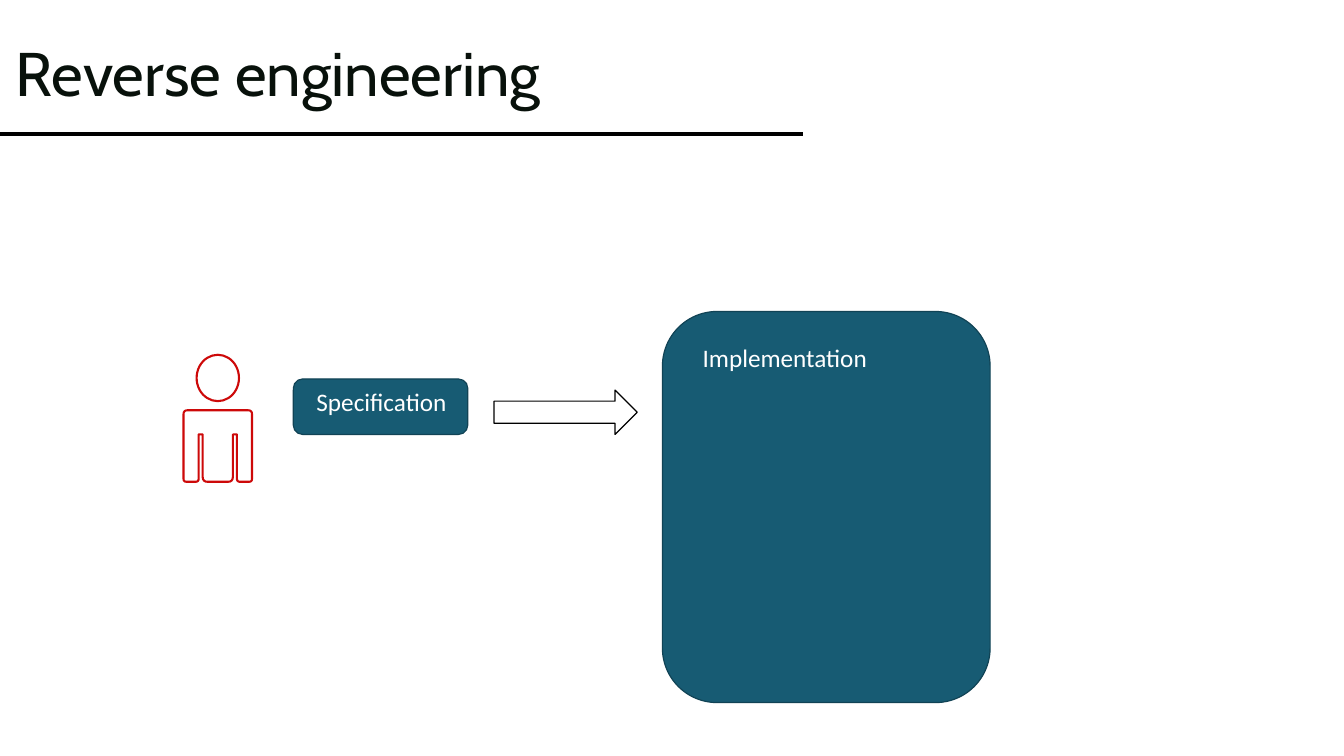
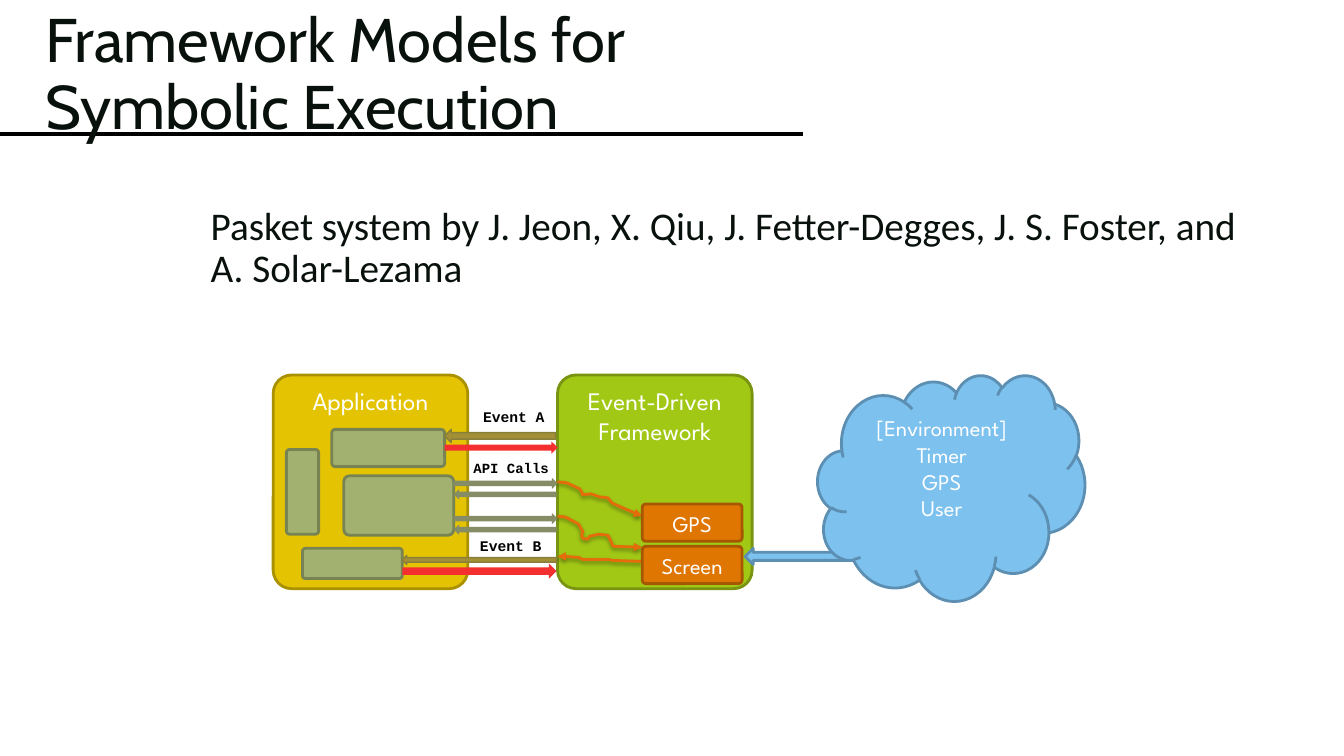
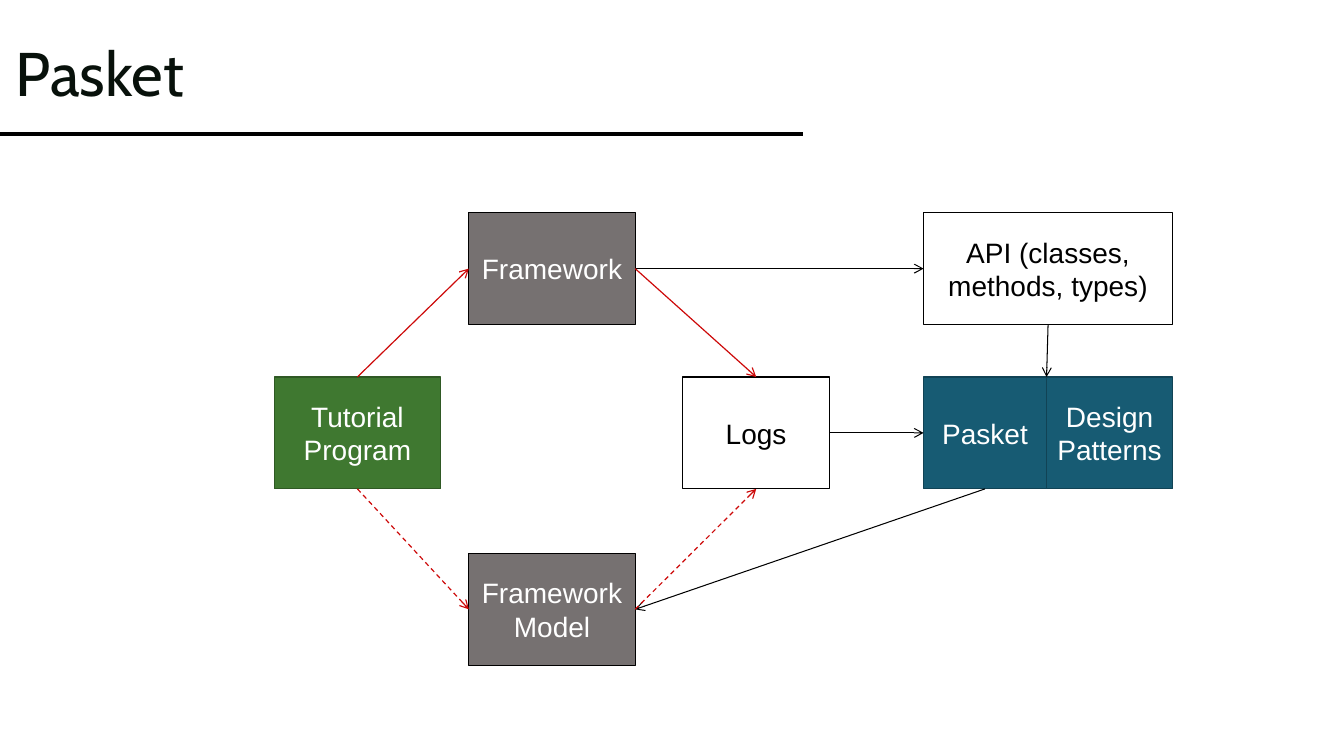
from lxml import etree
from pptx import Presentation
from pptx.dml.color import RGBColor
from pptx.enum.dml import MSO_LINE
from pptx.enum.shapes import MSO_CONNECTOR, MSO_SHAPE as SHAPE
from pptx.enum.text import MSO_ANCHOR as ANCHOR, PP_ALIGN as ALIGN
from pptx.oxml.ns import qn
from pptx.util import Inches, Pt

COLORS = {
    "ink": "08110B", "black": "000000", "white": "FFFFFF", "red": "CD0909",
    "teal": "175B73", "teal_edge": "114355",
    "gray": "767171", "green": "3F7830", "green_edge": "2F5924",
    "lime": "A2C816", "lime_edge": "789410",
    "gold": "E4C402", "gold_edge": "A99101",
    "olive": "A2B170", "olive_edge": "788353",
    "orange": "E07602", "orange_edge": "A65701", "squiggle": "E46C0A",
    "sky": "7DC1EF", "sky_edge": "5C8FB1",
    "event": "A38F35", "event_edge": "8A7F3A", "reply": "F42F2F", "call": "868C66",
}
TOP, LEFT, BOTTOM, RIGHT = range(4)  # connection sites of a rectangle


# ---- Building blocks ----
def rgb(name):
    return RGBColor.from_string(COLORS[name])


def write(shape, text, font, size, color, align=ALIGN.CENTER,
          anchor=ANCHOR.TOP, bold=False, wrap=True, spacing=None):
    frame = shape.text_frame
    frame.text = text
    frame.word_wrap = wrap
    frame.vertical_anchor = anchor
    for paragraph in frame.paragraphs:
        paragraph.alignment = align
        if spacing:
            paragraph.line_spacing = spacing
        for run in paragraph.runs:
            run.font.name, run.font.size = font, Pt(size)
            run.font.bold = bold
            run.font.color.rgb = rgb(color)


def paint(shape, fill, edge, width):
    shape.shadow.inherit = False
    if fill:
        shape.fill.solid()
        shape.fill.fore_color.rgb = rgb(fill)
    else:
        shape.fill.background()
    if edge:
        shape.line.color.rgb = rgb(edge)
        shape.line.width = Pt(width)
    else:
        shape.line.fill.background()


def add_block(slide, kind, box, fill, edge=None, width=0.85, corner=None):
    shape = slide.shapes.add_shape(kind, *map(Inches, box))
    if corner is not None:
        shape.adjustments[0] = corner
    paint(shape, fill, edge, width)
    return shape


def add_label(slide, box, text, font, size, color, **style):
    label = slide.shapes.add_textbox(*map(Inches, box))
    write(label, text, font, size, color, **style)
    return label


def add_outline(slide, points, closed, fill, edge, width):
    emu = [(Inches(x), Inches(y)) for x, y in points]
    builder = slide.shapes.build_freeform(*emu[0])
    builder.add_line_segments(emu[1:], close=closed)
    shape = builder.convert_to_shape()
    paint(shape, fill, edge, width)
    return shape


def add_arrowhead(shape, end, kind):
    etree.SubElement(shape.line._get_or_add_ln(), qn(f"a:{end}"), type=kind)


def add_line(slide, start, end, color, width):
    line = slide.shapes.add_connector(
        MSO_CONNECTOR.STRAIGHT, *map(Inches, (*start, *end)))
    line.line.color.rgb = rgb(color)
    line.line.width = Pt(width)
    etree.SubElement(line._element.spPr, qn("a:effectLst"))
    return line


def add_titled_slide(prs, title, left=0.06):
    slide = prs.slides.add_slide(prs.slide_layouts[6])
    add_line(slide, (0, 1.33), (7.96, 1.33), "black", 2.25)
    add_label(slide, (left, 0.03, 7.52, 1.45), title, "Cabin", 44, "ink",
              align=ALIGN.LEFT, anchor=ANCHOR.MIDDLE, spacing=0.9)
    return slide


# ---- Slide 1: reverse engineering ----
def rounded_corners(corners, steps=4):
    """Replace each (x, y, radius) corner by points on a curve."""
    points = []
    for i, (x, y, radius) in enumerate(corners):
        if not radius:
            points.append((x, y))
            continue
        ends = []
        for nx, ny, _ in (corners[i - 1], corners[(i + 1) % len(corners)]):
            share = radius / (abs(nx - x) + abs(ny - y))
            ends.append((x + (nx - x) * share, y + (ny - y) * share))
        (ax, ay), (bx, by) = ends
        for step in range(steps + 1):
            t = step / steps
            a, c, b = (1 - t) ** 2, 2 * t * (1 - t), t ** 2
            points.append((a * ax + c * x + b * bx, a * ay + c * y + b * by))
    return points


def add_person(slide):
    center = 2.16
    add_block(slide, SHAPE.OVAL, (1.95, 3.52, 0.42, 0.46), "white", "red", 1.5)
    left_half = [(1.82, 4.07, 0.04), (1.82, 4.78, 0.03), (1.97, 4.78, 0.03),
                 (1.97, 4.31, 0), (2.01, 4.31, 0), (2.01, 4.78, 0.05)]
    right_half = [(2 * center - x, y, r) for x, y, r in reversed(left_half)]
    add_outline(slide, rounded_corners(left_half + right_half), True,
                "white", "red", 1.5)


def build_reverse_engineering(prs):
    slide = add_titled_slide(prs, "Reverse engineering")
    add_person(slide)
    for box, label_box, text in (
            ((2.91, 3.76, 1.73, 0.55), (3.04, 3.78, 1.51, 0.4), "Specification"),
            ((6.57, 3.09, 3.25, 3.88), (6.87, 3.35, 1.85, 0.4), "Implementation")):
        add_block(slide, SHAPE.ROUNDED_RECTANGLE, box, "teal", "teal_edge")
        add_label(slide, label_box, text, "Calibri", 18, "white",
                  align=ALIGN.LEFT, wrap=False)
    add_block(slide, SHAPE.RIGHT_ARROW, (4.9, 3.87, 1.42, 0.44), "white", "black")


# ---- Slide 2: framework models ----
def add_module(slide, box, color, text="", size=18):
    module = add_block(slide, SHAPE.ROUNDED_RECTANGLE, box, color,
                       f"{color}_edge", 2, corner=0.095)
    if text:
        write(module, text, "League Spartan", size, "white")


def add_squiggle(slide, points, end):
    squiggle = add_outline(slide, points, False, None, "squiggle", 2)
    add_arrowhead(squiggle, end, "triangle")
    effects = squiggle._element.spPr.find(qn("a:effectLst"))
    shadow = etree.SubElement(
        effects, qn("a:outerShdw"), blurRad=str(Pt(3.1)), dist=str(Pt(1.6)),
        dir="5400000", rotWithShape="0")
    color = etree.SubElement(shadow, qn("a:srgbClr"), val=COLORS["black"])
    etree.SubElement(color, qn("a:alpha"), val="38000")


def build_framework_models(prs):
    slide = add_titled_slide(prs, "Framework Models for Symbolic Execution", 0.35)
    credit = add_label(
        slide, (1.74, 2, 10.68, 4.76),
        "Pasket system by J. Jeon, X. Qiu, J. Fetter-Degges, J. S. Foster, "
        "and A. Solar-Lezama", "Calibri", 28, "ink", align=ALIGN.LEFT, spacing=0.9)
    credit.text_frame.margin_left = Inches(0.35)

    # Framework and its internal flows
    add_module(slide, (5.53, 3.72, 1.93, 2.12), "lime", "Event-Driven\nFramework")
    add_squiggle(slide, [
        (5.53, 5.12), (5.61, 5.13), (5.74, 5.2), (5.76, 5.24), (5.78, 5.27),
        (5.77, 5.31), (5.78, 5.34), (5.83, 5.35), (5.85, 5.32), (5.94, 5.3),
        (6.03, 5.31), (6.06, 5.37), (6.08, 5.42), (6.37, 5.43)], "tailEnd")
    add_squiggle(slide, [
        (5.53, 4.78), (5.62, 4.79), (5.75, 4.85), (5.77, 4.88), (5.78, 4.91),
        (5.86, 4.9), (5.95, 4.93), (6.03, 4.94), (6.07, 4.99), (6.18, 5.04),
        (6.37, 5.12)], "tailEnd")
    add_squiggle(slide, [
        (5.53, 5.52), (5.61, 5.52), (5.74, 5.53), (5.78, 5.55), (5.94, 5.55),
        (6.03, 5.55), (6.08, 5.56), (6.37, 5.57)], "headEnd")
    for top, device in ((5, "GPS"), (5.42, "Screen")):
        add_module(slide, (6.37, top, 0.99, 0.37), "orange", device, 16)

    # Application and its parts
    add_module(slide, (2.71, 3.72, 1.93, 2.12), "gold", "Application")
    for part in ((3.29, 4.26, 1.12, 0.37), (3, 5.44, 0.99, 0.3),
                 (2.84, 4.46, 0.32, 0.84), (3.41, 4.72, 1.09, 0.59)):
        add_module(slide, part, "olive")

    # Traffic between application and framework
    for box in ((3.99, 5.51, 1.53, 0.09), (4.41, 4.26, 1.1, 0.13)):
        add_block(slide, SHAPE.LEFT_ARROW, box, "event", "event_edge", 1)
    for box in ((3.99, 5.59, 1.53, 0.15), (4.41, 4.38, 1.12, 0.12)):
        add_block(slide, SHAPE.RIGHT_ARROW, box, "reply")
    for top in (4.74, 5.09):
        add_block(slide, SHAPE.RIGHT_ARROW, (4.5, top, 1.03, 0.11), "call")
        add_block(slide, SHAPE.LEFT_ARROW, (4.5, top + 0.11, 1.02, 0.11), "call")
    for box, text, size in (((4.62, 4, 0.95, 0.29), "Event A", 10.5),
                            ((4.52, 4.51, 1.1, 0.28), "API Calls", 10),
                            ((4.59, 5.28, 0.95, 0.29), "Event B", 10.5)):
        add_label(slide, box, text, "Courier New", size, "black", bold=True)

    # Environment
    add_block(slide, SHAPE.LEFT_ARROW, (7.39, 5.44, 1.18, 0.16), "sky", "sky_edge", 2)
    environment = add_block(slide, SHAPE.CLOUD, (8.11, 3.72, 2.65, 2.24),
                            "sky", "sky_edge", 2)
    write(environment, "[Environment]\nTimer\nGPS\nUser", "League Spartan", 16, "white")


# ---- Slide 3: Pasket ----
def add_node(slide, left, top, width, text, fill, edge, color="white"):
    node = add_block(slide, SHAPE.RECTANGLE, (left, top, width, 1.11), fill, edge)
    write(node, text, "Arial", 20, color, anchor=ANCHOR.MIDDLE)
    return node


def add_flow(slide, source, source_side, target, target_side,
             color="black", dashed=False):
    """Join two nodes; a target given as a point is left unattached."""
    free = isinstance(target, tuple)
    flow = add_line(slide, (0, 0), target if free else (1, 1), color,
                    0.75 if color == "black" else 0.85)
    flow.begin_connect(source, source_side)
    if not free:
        flow.end_connect(target, target_side)
    if dashed:
        flow.line.dash_style = MSO_LINE.DASH
    add_arrowhead(flow, "tailEnd", "arrow")


def build_pasket(prs):
    slide = add_titled_slide(prs, "Pasket")
    upper, middle, lower = 2.11, 3.74, 5.49
    framework = add_node(slide, 4.65, upper, 1.65, "Framework", "gray", "black")
    tutorial = add_node(slide, 2.72, middle, 1.65, "Tutorial\nProgram",
                        "green", "green_edge")
    api = add_node(slide, 9.16, upper, 2.47, "API (classes, methods, types)",
                   "white", "black", "black")
    add_node(slide, 10.38, middle, 1.25, "Design Patterns", "teal", "teal_edge")
    logs = add_node(slide, 6.77, middle, 1.46, "Logs", "white", "black", "black")
    pasket = add_node(slide, 9.16, middle, 1.22, "Pasket", "teal", "teal_edge")
    model = add_node(slide, 4.65, lower, 1.65, "Framework Model", "gray", "black")

    add_flow(slide, framework, RIGHT, api, LEFT)
    add_flow(slide, logs, RIGHT, pasket, LEFT)
    add_flow(slide, api, BOTTOM, (10.38, middle), None)
    add_flow(slide, pasket, BOTTOM, model, RIGHT)
    add_flow(slide, framework, RIGHT, logs, TOP, "red")
    add_flow(slide, tutorial, TOP, framework, LEFT, "red")
    add_flow(slide, tutorial, BOTTOM, model, LEFT, "red", dashed=True)
    add_flow(slide, model, RIGHT, logs, BOTTOM, "red", dashed=True)


def main():
    prs = Presentation()
    prs.slide_width, prs.slide_height = Inches(13.33), Inches(7.5)
    build_reverse_engineering(prs)
    build_framework_models(prs)
    build_pasket(prs)
    prs.save("out.pptx")


if __name__ == "__main__":
    main()
